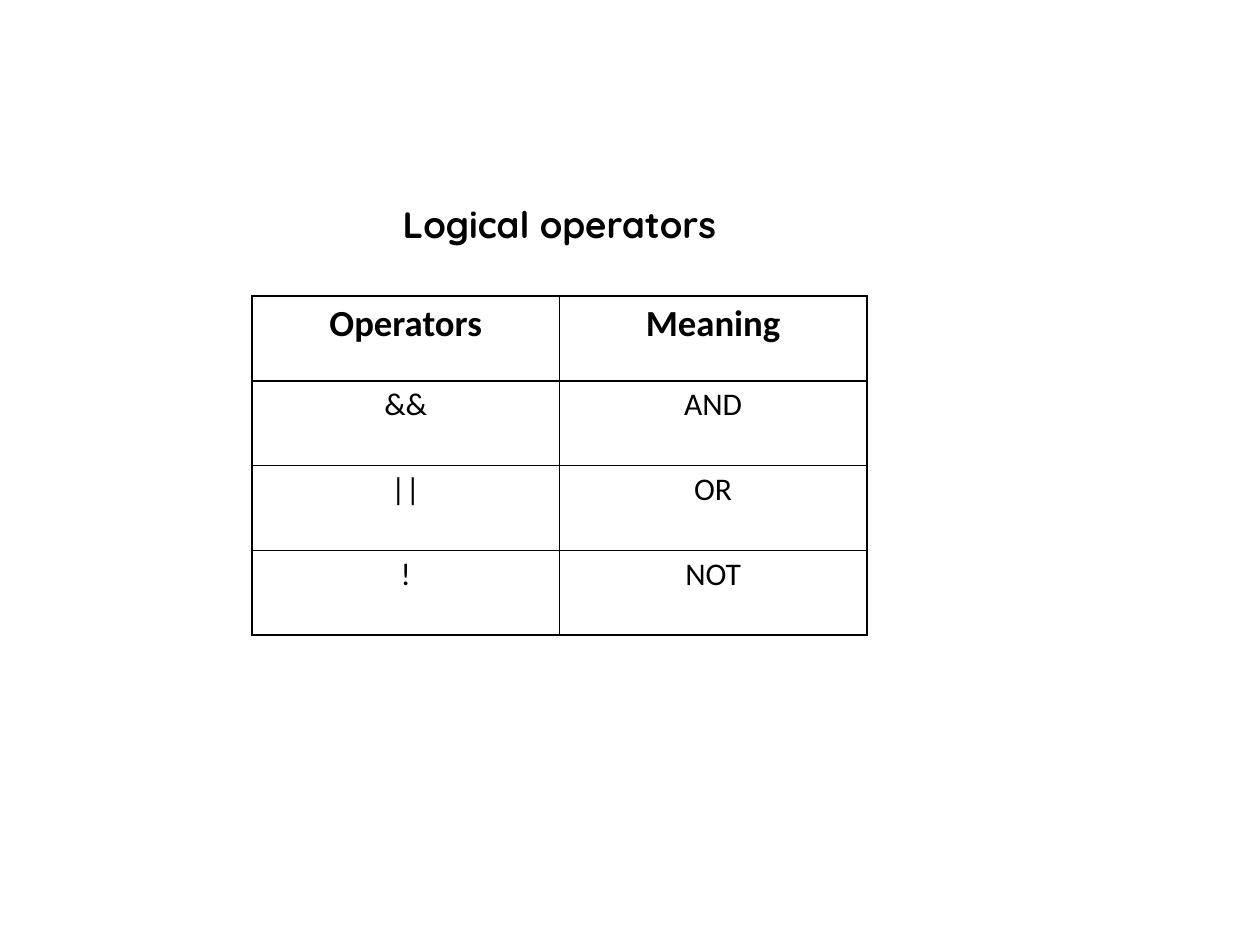
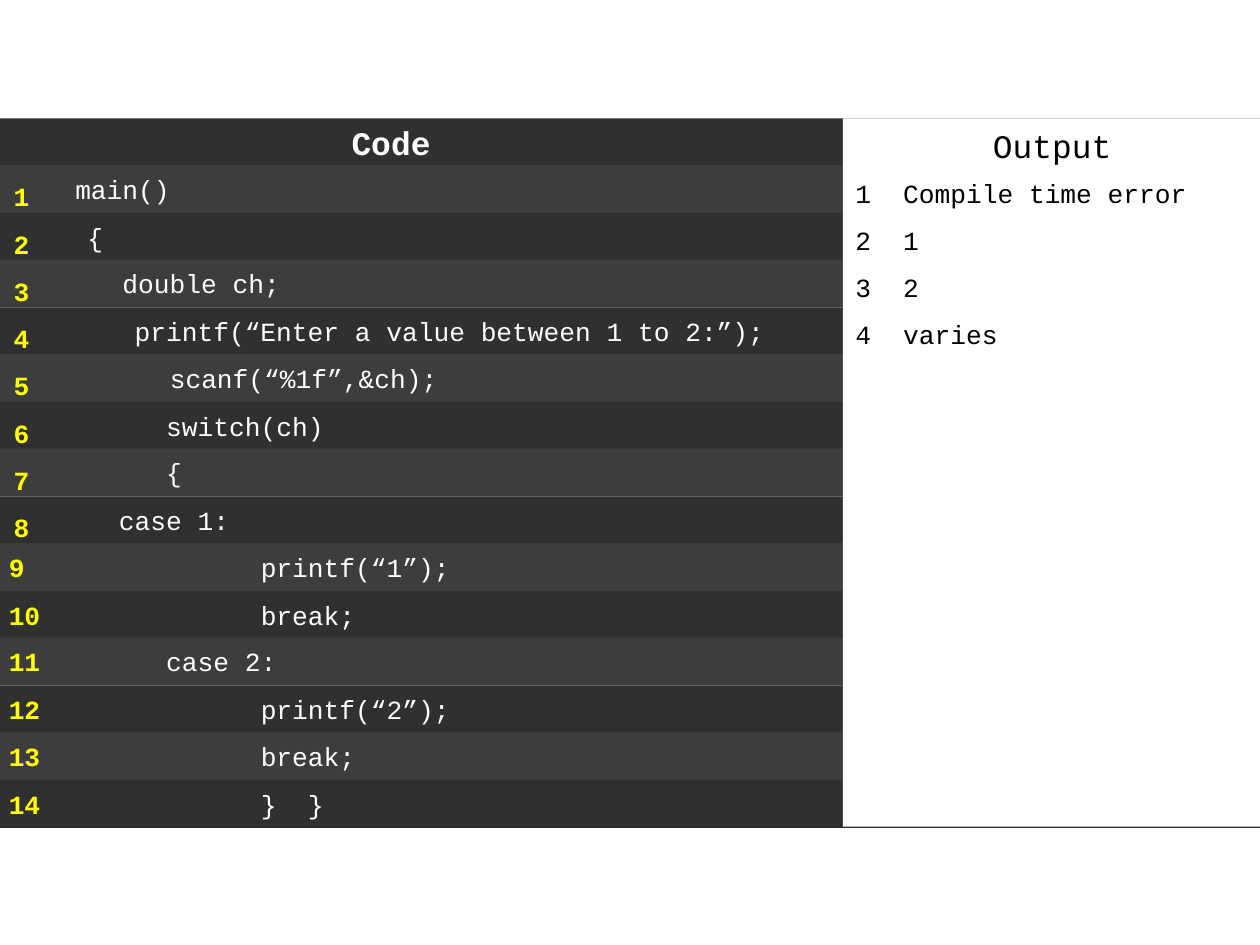
from lxml.etree import SubElement
from pptx import Presentation
from pptx.dml.color import RGBColor
from pptx.enum.shapes import MSO_SHAPE as Shape
from pptx.enum.text import MSO_ANCHOR as Anchor, PP_ALIGN as Align
from pptx.oxml.ns import qn
from pptx.util import Emu, Pt

PX = 9144  # 100 px to the inch
COLORS = {"black": "000000", "white": "FFFFFF", "yellow": "FFFF00",
          "strip_light": "3D3D3D", "strip_dark": "303030"}
TITLE_FONT, TABLE_FONT, CODE_FONT = "Quicksand", "Calibri", "Courier New"
CODE_SIZE, HEADING_SIZE = 15, 18.8
TAB_STOPS = (100, 200)

OPERATORS = [("Operators", "Meaning"), ("&&", "AND"), ("||", "OR"), ("!", "NOT")]
CODE_LINES = [
    "    main()",
    "     {",
    "       double ch;",
    "        printf(“Enter a value between 1 to 2:”);",
    "\t  scanf(“%1f”,&ch);",
    "\t  switch(ch)",
    "\t  {",
    "       case 1:",
    "\t\tprintf(“1”);",
    "\t\tbreak;",
    "\t  case 2:",
    "\t\tprintf(“2”);",
    "\t\tbreak;",
    "\t\t}  }",
]
WIDE_INSET_LINES = (1, 3, 5)
COLUMN_NUMBERS = 8  # later lines carry their number in the strip itself
ANSWERS = ["Compile time error", "1", "2", "varies"]


def px(length):
    return Emu(length * PX)


def rgb(name):
    return RGBColor.from_string(COLORS[name])


class Deck:
    def __init__(self, width, height):
        self.presentation = Presentation()
        self.presentation.slide_width = px(width)
        self.presentation.slide_height = px(height)
        self.slide = None

    def add_slide(self):
        self.slide = self.presentation.slides.add_slide(self.presentation.slide_layouts[6])

    def add_run(self, paragraph, text, font, size, color="black", bold=False):
        run = paragraph.add_run()
        run.text = text
        run.font.name, run.font.size, run.font.bold = font, Pt(size), bold
        run.font.color.rgb = rgb(color)

    def rectangle(self, left, top, width, height, color):
        shape = self.slide.shapes.add_shape(
            Shape.RECTANGLE, px(left), px(top), px(width), px(height))
        shape.shadow.inherit = False
        shape.fill.solid()
        shape.fill.fore_color.rgb = rgb(color)
        shape.line.fill.background()
        return shape

    def strip(self, top, color, inset, runs):
        """Full-width band; each run is (text, size, color, bold)."""
        frame = self.rectangle(0, top, 1000, 38, color).text_frame
        frame.vertical_anchor = Anchor.MIDDLE
        frame.margin_left = px(inset)
        frame.margin_top = frame.margin_bottom = px(4)
        paragraph = frame.paragraphs[0]
        tabs = SubElement(paragraph._p.get_or_add_pPr(), qn("a:tabLst"))
        for stop in TAB_STOPS:
            SubElement(tabs, qn("a:tab"), pos=str(px(stop)), algn="l")
        paragraph.alignment = Align.LEFT
        for text, size, run_color, bold in runs:
            self.add_run(paragraph, text, CODE_FONT, size, run_color, bold)

    def text(self, left, top, width, height, lines, font, size, color="black",
             bold=False, align=Align.LEFT, spacing=1.5, numbered=False):
        box = self.slide.shapes.add_textbox(px(left), px(top), px(width), px(height))
        frame = box.text_frame
        frame.word_wrap = True
        for index, line in enumerate(lines):
            paragraph = frame.add_paragraph() if index else frame.paragraphs[0]
            if numbered:
                properties = paragraph._p.get_or_add_pPr()
                properties.set("marL", str(px(38)))
                properties.set("indent", str(px(-38)))
                SubElement(properties, qn("a:buFont"), typeface=font)
                SubElement(properties, qn("a:buAutoNum"), type="arabicPlain")
            paragraph.alignment = align
            paragraph.line_spacing = spacing
            self.add_run(paragraph, line, font, size, color, bold)

    def table(self, left, top, width, height, rows):
        table = self.slide.shapes.add_table(
            len(rows), len(rows[0]), px(left), px(top), px(width), px(height)).table
        table.first_row = table.horz_banding = False
        for row_index, row in enumerate(rows):
            header = row_index == 0
            for column_index, text in enumerate(row):
                cell = table.cell(row_index, column_index)
                cell.margin_left = cell.margin_right = px(7)
                cell.margin_top = cell.margin_bottom = px(4)
                self.add_borders(cell)
                cell.fill.background()
                paragraph = cell.text_frame.paragraphs[0]
                paragraph.alignment = Align.CENTER
                self.add_run(paragraph, text, TABLE_FONT, 21 if header else 18, bold=header)

    def add_borders(self, cell):
        properties = cell._tc.get_or_add_tcPr()
        for side in ("a:lnL", "a:lnR", "a:lnT", "a:lnB"):
            line = SubElement(properties, qn(side), w=str(Pt(1)))
            fill = SubElement(line, qn("a:solidFill"))
            SubElement(fill, qn("a:srgbClr"), val=COLORS["black"])


def build_operators(deck):
    deck.add_slide()
    deck.text(181, 138, 526, 59, ["Logical operators"], TITLE_FONT, 21,
              bold=True, align=Align.CENTER)
    deck.table(200, 235, 488, 269, OPERATORS)


def strip_top(index):
    """Strips follow each other every 37.5 px."""
    return 94 + index * 75 // 2


def build_code(deck):
    deck.add_slide()
    deck.strip(strip_top(0), "strip_dark", 279, [("Code", HEADING_SIZE, "white", True)])
    for number, line in enumerate(CODE_LINES, start=1):
        runs = [(line, CODE_SIZE, "white", False)]
        if number > COLUMN_NUMBERS:
            runs.insert(0, (str(number), CODE_SIZE, "yellow", True))
        deck.strip(strip_top(number), "strip_light" if number % 2 else "strip_dark",
                   10 if number in WIDE_INSET_LINES else 7, runs)
    deck.rectangle(669, 94, 331, 562, "white")
    deck.text(669, 95, 332, 42, ["Output"], CODE_FONT, HEADING_SIZE,
              align=Align.CENTER, spacing=1.0)
    deck.text(669, 123, 306, 499, ANSWERS, CODE_FONT, CODE_SIZE, numbered=True)
    deck.text(1, 126, 42, 348, [str(n + 1) for n in range(COLUMN_NUMBERS)],
              CODE_FONT, CODE_SIZE, "yellow", bold=True)


def main():
    deck = Deck(1000, 750)
    build_operators(deck)
    build_code(deck)
    deck.presentation.save("out.pptx")


if __name__ == "__main__":
    main()
